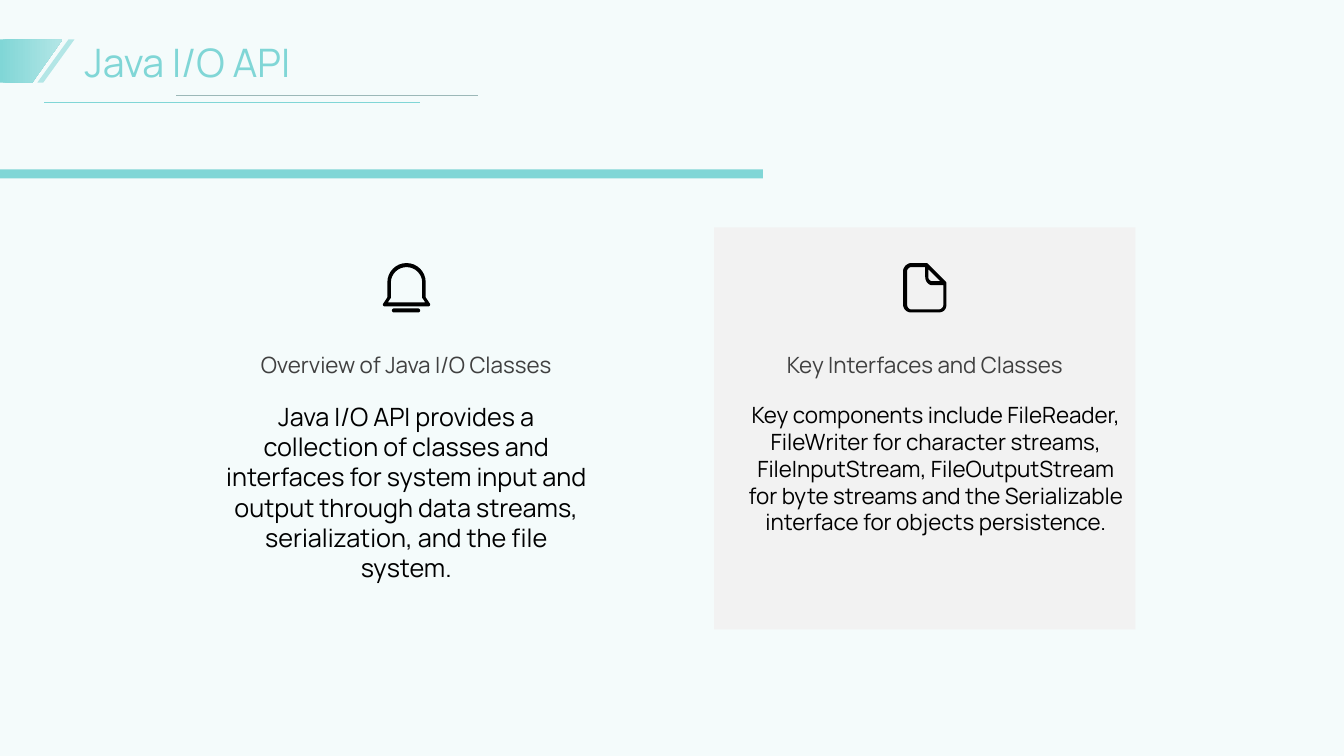
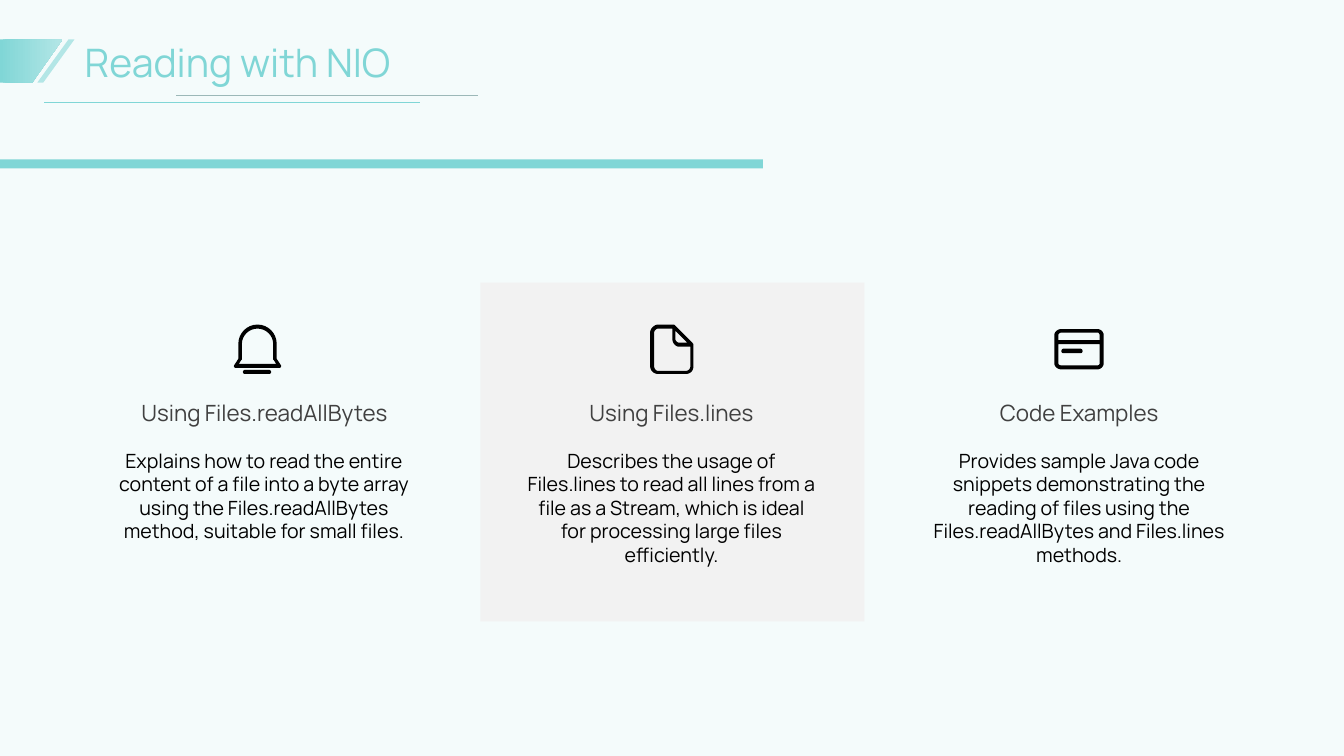
from dataclasses import dataclass

import lxml.etree
import pptx
import pptx.dml.color
import pptx.enum.dml
import pptx.enum.shapes
import pptx.enum.text
import pptx.oxml.ns
import pptx.util

# The slide is a grid of 80 columns by 45 rows of square cells
COLS, ROWS = 80, 45
CELL = pptx.util.Inches(7.5) // ROWS
FONT = "Manrope"
COLORS = {
    "wash": "E6F7F7",
    "teal": "80D6D6",
    "pale": "B3E6E6",
    "rule": "9CB8B8",
    "panel": "F2F2F2",
    "heading": "404040",
    "ink": "000000",
}
SHAPE = pptx.enum.shapes.MSO_SHAPE
ALIGN = pptx.enum.text.PP_ALIGN
ANCHOR = pptx.enum.text.MSO_ANCHOR


@dataclass(frozen=True)
class Icon:
    """Outlines in hundredths of an inch: M, L and C take absolute points."""
    width: float
    height: float
    outlines: tuple[str, ...]


@dataclass(frozen=True)
class Card:
    heading: str
    body: str
    icon: Icon
    col: float
    width: float
    body_width: float
    icon_col: float
    size: int


@dataclass(frozen=True)
class Page:
    title: str
    band_row: float
    panel: tuple[float, float, float, float]
    icon_row: float
    heading_row: float
    heading_rows: float
    heading_anchor: pptx.enum.text.MSO_ANCHOR
    body_row: float
    body_rows: float
    cards: tuple[Card, ...]


BELL = Icon(47, 49, (
    "M 23.5 0 C 34 0 42.5 8.5 42.5 19 L 42.5 34 L 46.5 40 C 47.5 41.5 46.5 43 45 43 "
    "L 2 43 C 0.5 43 -0.5 41.5 0.5 40 L 4.5 34 L 4.5 19 C 4.5 8.5 13 0 23.5 0",
    "M 23.5 4 C 15 4 8 11 8 19 L 8 34 C 8 34.5 8 35 7.5 35 L 5 39 L 42 39 "
    "L 39.5 35 C 39 35 39 34.5 39 34 L 39 19 C 39 11 32 4 23.5 4",
    "M 11 45 L 35 45 C 36 45 37 46 37 47 C 37 48 36 49 35 49 "
    "L 11 49 C 10 49 9 48 9 47 C 9 46 10 45 11 45",
))
SHEET = Icon(43, 49, (
    "M 43 20 C 43 19.5 42.8 19 42.4 18.6 L 24.5 0.5 C 24 0.2 23.5 0 23 0 L 8 0 "
    "C 4 0 0 4 0 8 L 0 41 C 0 46 4 49 8 49 L 35 49 C 40 49 43 46 43 41",
    "M 25 14 L 25 6 L 37 18 L 29 18 C 27 18 25 16 25 14",
    "M 40 41 C 40 44 38 46 35 46 L 8 46 C 6 46 4 44 4 41 L 4 8 C 4 6 6 4 8 4 "
    "L 22 4 L 22 14 C 22 18 25 22 29 22 L 40 22",
))
BANK_CARD = Icon(49, 40, (
    "M 7 0 L 43 0 C 46 0 49 3 49 6 L 49 34 C 49 37 46 40 43 40 "
    "L 7 40 C 3 40 0 37 0 34 L 0 6 C 0 3 3 0 7 0",
    "M 7 3.5 C 5 3.5 4 5 4 6 L 4 11 L 45 11 L 45 6 C 45 5 44 3.5 43 3.5",
    "M 4 15 L 4 34 C 4 35 5 36 7 36 L 43 36 C 44 36 45 35 45 34 L 45 15",
    "M 9 19.5 L 26 19.5 C 27 19.5 28 20.5 28 22 C 28 23 27 24 26 24 "
    "L 9 24 C 8 24 7 23 7 22 C 7 20.5 8 19.5 9 19.5",
))

PAGES = (
    Page("Java I/O API", 10.08, (42.51, 13.53, 25.08, 23.94), 17.13,
         20.76, 1.74, ANCHOR.BOTTOM, 23.58, 11.8, (
             Card("Overview of Java I/O Classes",
                  "Java I/O API provides a collection of classes and interfaces for "
                  "system input and output through data streams, serialization, and "
                  "the file system.",
                  BELL, 12.54, 23.28, 23.28, 24.2, 18),
             Card("Key Interfaces and Classes",
                  "Key components include FileReader, FileWriter for character streams, "
                  "FileInputStream, FileOutputStream for byte streams and the "
                  "Serializable interface for objects persistence.",
                  SHEET, 43.8, 22.5, 23.82, 55.05, 16),
         )),
    Page("Reading with NIO", 9.48, (28.59, 16.83, 22.86, 20.16), 20.79,
         23.76, 1.56, ANCHOR.TOP, 26.4, 10.2, (
             Card("Using Files.readAllBytes",
                  "Explains how to read the entire content of a file into a byte array "
                  "using the Files.readAllBytes method, suitable for small files.",
                  BELL, 5.82, 19.86, 19.8, 15.33, 14),
             Card("Using Files.lines",
                  "Describes the usage of Files.lines to read all lines from a file as "
                  "a Stream, which is ideal for processing large files efficiently.",
                  SHEET, 30.6, 18.75, 18.75, 39.99, 14),
             Card("Code Examples",
                  "Provides sample Java code snippets demonstrating the reading of "
                  "files using the Files.readAllBytes and Files.lines methods.",
                  BANK_CARD, 54.84, 18.8, 18.8, 64.23, 14),
         )),
)


def grid(*cells: float) -> list[int]:
    return [round(c * CELL) for c in cells]


def rgb(name: str) -> pptx.dml.color.RGBColor:
    return pptx.dml.color.RGBColor.from_string(COLORS[name])


def paint(sp, color: str, alpha: int = 100) -> None:
    sp.shadow.inherit = False
    sp.line.fill.background()
    sp.fill.solid()
    sp.fill.fore_color.rgb = rgb(color)
    if alpha < 100:
        qn = pptx.oxml.ns.qn
        clr = sp.fill._xPr.find(qn("a:solidFill")).find(qn("a:srgbClr"))
        lxml.etree.SubElement(clr, qn("a:alpha")).set("val", str(alpha * 1000))


def add_box(slide, box: tuple[float, ...], color: str, kind=SHAPE.RECTANGLE,
            alpha: int = 100):
    sp = slide.shapes.add_shape(kind, *grid(*box))
    paint(sp, color, alpha)
    return sp


def add_text(slide, text: str, box: tuple[float, ...], *, size: int, color: str,
             align=ALIGN.CENTER, anchor=ANCHOR.TOP, inset: bool = False,
             grow: bool = False) -> None:
    tf = slide.shapes.add_textbox(*grid(*box)).text_frame
    tf.word_wrap = True
    tf.vertical_anchor = anchor
    if grow:
        tf.auto_size = pptx.enum.text.MSO_AUTO_SIZE.SHAPE_TO_FIT_TEXT
    if not inset:
        tf.margin_left = tf.margin_right = tf.margin_top = tf.margin_bottom = 0
    p = tf.paragraphs[0]
    p.alignment = align
    r = p.add_run()
    r.text = text
    r.font.name = FONT
    r.font.size = pptx.util.Pt(size)
    r.font.color.rgb = rgb(color)


def add_rule(slide, start: float, end: float, row: float, color: str) -> None:
    x1, x2, y = grid(start, end, row)
    line = slide.shapes.add_connector(
        pptx.enum.shapes.MSO_CONNECTOR.STRAIGHT, x1, y, x2, y)
    line.line.width = pptx.util.Pt(0.5)
    line.line.color.rgb = rgb(color)
    lxml.etree.SubElement(line._element.spPr, pptx.oxml.ns.qn("a:effectLst"))


def trace(outline: str, steps: int = 8) -> list[tuple[float, float]]:
    """Turn an outline into points, sampling each cubic curve."""
    points: list[tuple[float, float]] = []
    tokens = iter(outline.split())
    for command in tokens:
        count = 3 if command == "C" else 1
        ends = [(float(next(tokens)), float(next(tokens))) for _ in range(count)]
        if command != "C":
            points += ends
            continue
        curve = [points[-1], *ends]
        for step in range(1, steps + 1):
            t = step / steps
            weights = ((1 - t) ** 3, 3 * t * (1 - t) ** 2, 3 * t * t * (1 - t), t ** 3)
            points.append((sum(w * x for w, (x, _) in zip(weights, curve)),
                           sum(w * y for w, (_, y) in zip(weights, curve))))
    return points


def add_outline(slide, outlines: list[list[tuple[float, float]]], unit: float,
                left: int = 0, top: int = 0):
    scaled = [[(x * unit, y * unit) for x, y in points] for points in outlines]
    builder = slide.shapes.build_freeform(*scaled[0][0])
    for i, points in enumerate(scaled):
        if i:
            builder.move_to(*points[0])
        builder.add_line_segments(points[1:], close=True)
    return builder.convert_to_shape(left, top)


def add_icon(slide, icon: Icon, col: float, row: float) -> None:
    unit = pptx.util.Inches(0.01)
    x, y = grid(col, row)
    sp = add_outline(slide, [trace(o) for o in icon.outlines], unit,
                     round(x - icon.width * unit / 2), round(y - icon.height * unit / 2))
    paint(sp, "ink")


def add_frame(slide, page: Page) -> None:
    # Tinted ground and band
    add_box(slide, (0, 0, COLS, ROWS), "wash", alpha=43)
    add_box(slide, (-2.82, page.band_row, 48.24, 0.54), "teal")

    # Title with its slanted marks
    add_text(slide, page.title, (5.04, 2.16, 70.56, 3.06), size=28, color="teal",
             align=ALIGN.LEFT, anchor=ANCHOR.MIDDLE)
    slash = add_box(slide, (2.22, 2.34, 2.22, 2.58), "pale", SHAPE.PARALLELOGRAM)
    slash.adjustments[0] = 0.84
    tab = add_outline(slide, [[(0, 2.34), (3.72, 2.34), (1.92, 4.92), (0, 4.92)]], CELL)
    paint(tab, "pale")
    tab.fill.gradient()
    tab.fill.gradient_angle = 0
    for stop, color, position in zip(tab.fill.gradient_stops, ("teal", "pale"), (0, 1)):
        stop.color.rgb = rgb(color)
        stop.position = position

    # Rules under the title
    add_rule(slide, 2.64, 25.02, 6.08, "teal")
    add_rule(slide, 10.5, 28.44, 5.7, "rule")


def add_card(slide, page: Page, card: Card) -> None:
    add_text(slide, card.body, (card.col, page.body_row, card.body_width, page.body_rows),
             size=card.size, color="ink", inset=True)
    add_text(slide, card.heading,
             (card.col, page.heading_row, card.width, page.heading_rows),
             size=16, color="heading", anchor=page.heading_anchor, grow=True)
    add_icon(slide, card.icon, card.icon_col, page.icon_row)


def main() -> None:
    prs = pptx.Presentation()
    prs.slide_width, prs.slide_height = COLS * CELL, ROWS * CELL
    for page in PAGES:
        slide = prs.slides.add_slide(prs.slide_layouts[6])
        add_frame(slide, page)
        add_box(slide, page.panel, "panel")
        for card in page.cards:
            add_card(slide, page, card)
    prs.save("out.pptx")


if __name__ == "__main__":
    main()
